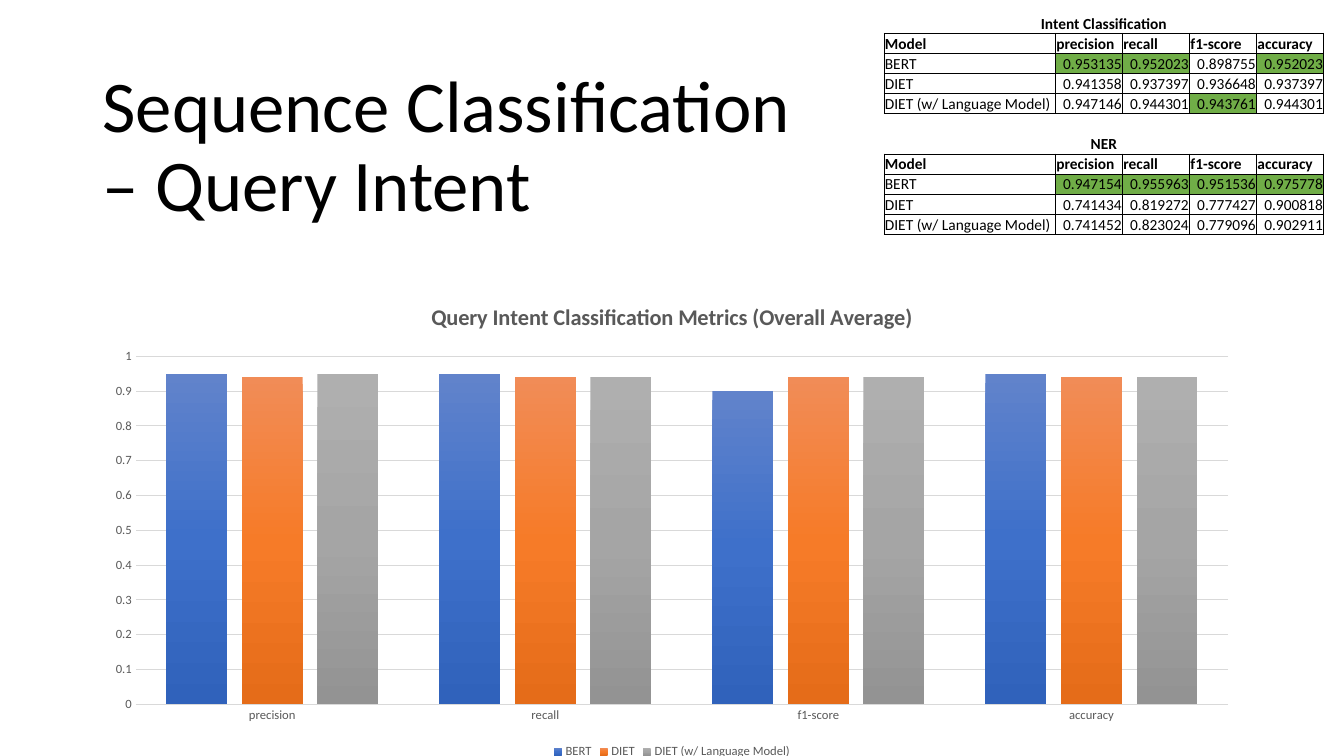
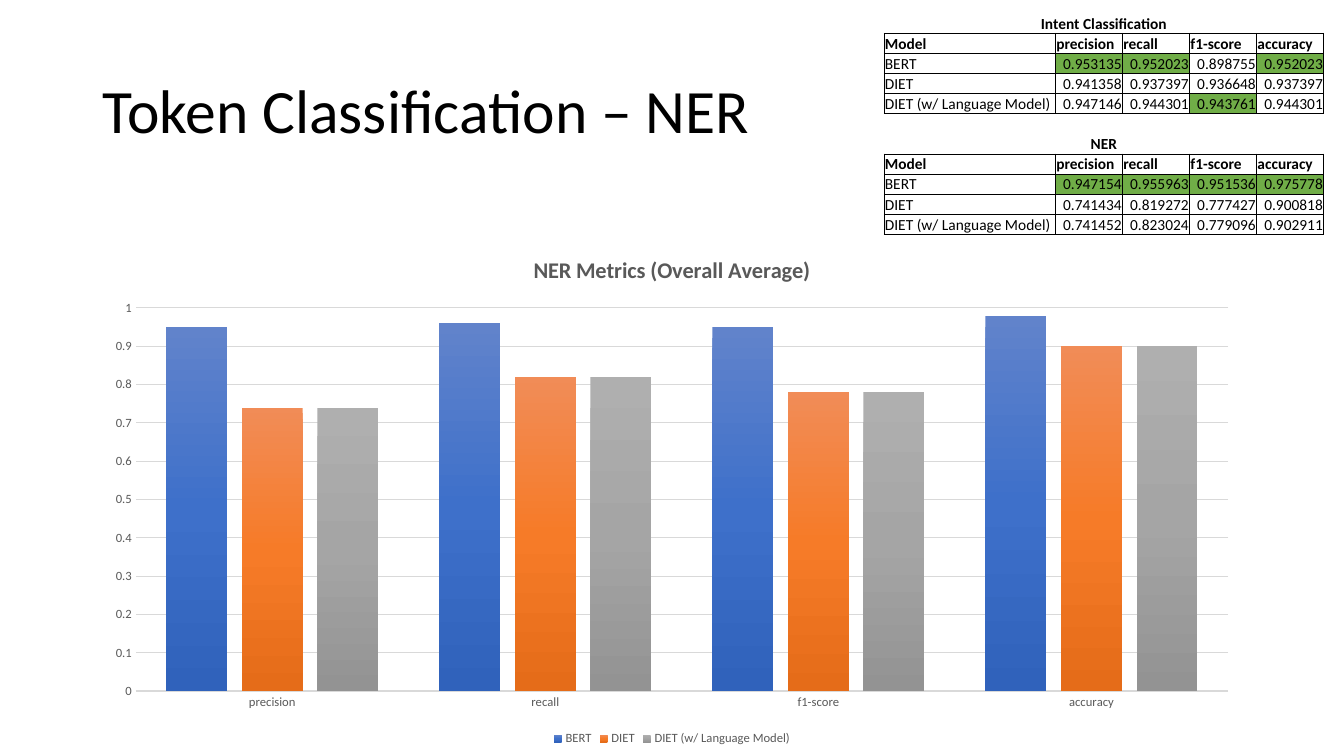
from pptx import Presentation
from pptx import util as u
from pptx.chart.data import CategoryChartData
from pptx.dml.color import RGBColor
from pptx.enum import chart as ch, text
from pptx.oxml import parse_xml
from pptx.oxml.ns import nsdecls

BLACK = RGBColor(0x00, 0x00, 0x00)
GREY = RGBColor(0x59, 0x59, 0x59)
RULE = RGBColor(0xD9, 0xD9, 0xD9)
BEST = RGBColor(0x70, 0xAD, 0x47)
BLUES = [RGBColor(0x61, 0x83, 0xCB), RGBColor(0x3E, 0x70, 0xCA), RGBColor(0x30, 0x62, 0xBB)]
ORANGES = [RGBColor(0xF1, 0x8C, 0x57), RGBColor(0xF6, 0x7B, 0x28), RGBColor(0xE5, 0x6C, 0x19)]
GREYS = [RGBColor(0xAF, 0xAF, 0xAF), RGBColor(0xA5, 0xA5, 0xA5), RGBColor(0x93, 0x93, 0x93)]
FONT = "Calibri"
PLAIN_TABLE = "{2D5ABB26-0587-4C30-8999-92F81FD0307C}"

METRICS = ["precision", "recall", "f1-score", "accuracy"]
INTENT = {
    "BERT": [0.953135, 0.952023, 0.898755, 0.952023],
    "DIET": [0.941358, 0.937397, 0.936648, 0.937397],
    "DIET (w/ Language Model)": [0.947146, 0.944301, 0.943761, 0.944301],
}
NER = {
    "BERT": [0.947154, 0.955963, 0.951536, 0.975778],
    "DIET": [0.741434, 0.819272, 0.777427, 0.900818],
    "DIET (w/ Language Model)": [0.741452, 0.823024, 0.779096, 0.902911],
}


def style_font(font, size, color=BLACK, bold=False):
    font.name, font.size, font.bold = FONT, u.Pt(size), bold
    font.color.rgb = color


def put(tf, words, size=11, color=BLACK, bold=False, align=text.PP_ALIGN.LEFT, spacing=None):
    p = tf.paragraphs[0]
    p.alignment = align
    if spacing:
        p.line_spacing = spacing
    if words:
        r = p.add_run()
        r.text = words
        style_font(r.font, size, color, bold)
    else:
        p._p.get_or_add_endParaRPr().set("sz", str(size * 100))


def gradient(colors):
    stops = "".join(f'<a:gs pos="{i * 50000}"><a:srgbClr val="{c}"/></a:gs>'
                    for i, c in enumerate(colors))
    return parse_xml(f'<a:gradFill {nsdecls("a")}><a:gsLst>{stops}</a:gsLst>'
                     '<a:lin ang="5400000" scaled="0"/></a:gradFill>')


def add_borders(cell):
    tcPr = cell._tc.get_or_add_tcPr()
    for i, side in enumerate("LRTB"):
        tcPr.insert(i, parse_xml(
            f'<a:ln{side} {nsdecls("a")} w="6350"><a:solidFill>'
            f'<a:srgbClr val="{BLACK}"/></a:solidFill></a:ln{side}>'))


def place_plot(chart, width, height, left=1.09, top=1.84, right=0.59, bottom=1.48):
    area = chart._chartSpace.chart.plotArea
    for old in area.findall("{*}layout"):
        area.remove(old)
    box = {"x": left / width, "y": top / height,
           "w": (width - left - right) / width, "h": (height - top - bottom) / height}
    modes = '<c:xMode val="edge"/><c:yMode val="edge"/>'
    sizes = "".join(f'<c:{k} val="{v:.4f}"/>' for k, v in box.items())
    area.insert(0, parse_xml(
        f'<c:layout {nsdecls("c")}><c:manualLayout><c:layoutTarget val="inner"/>'
        f'{modes}{sizes}</c:manualLayout></c:layout>'))


class Deck:
    def __init__(self):
        self.prs = Presentation()
        self.prs.slide_width, self.prs.slide_height = u.Cm(33.87), u.Cm(19.05)
        self.s = None

    def slide(self, title, left, top, width, height, size):
        self.s = self.prs.slides.add_slide(self.prs.slide_layouts[5])
        sp = self.s.shapes.title
        sp.left, sp.top, sp.width, sp.height = map(u.Cm, (left, top, width, height))
        tf = sp.text_frame
        tf.word_wrap = True
        tf.auto_size = text.MSO_AUTO_SIZE.NONE
        tf.vertical_anchor = text.MSO_ANCHOR.MIDDLE
        put(tf, title, size=size, spacing=0.9)

    def column_chart(self, title, scores, top, height, left=2.33, width=29.21):
        data = CategoryChartData(number_format="General")
        data.categories = METRICS
        for model, values in scores.items():
            data.add_series(model, [round(v, 2) for v in values])
        chart = self.s.shapes.add_chart(
            ch.XL_CHART_TYPE.COLUMN_CLUSTERED,
            *map(u.Cm, (left, top, width, height)), data).chart
        style_font(chart.font, 10)
        chart.has_title = True
        put(chart.chart_title.text_frame, title, size=16, color=GREY, bold=True,
            align=text.PP_ALIGN.CENTER)
        chart.chart_title.include_in_layout = False
        chart.has_legend = True
        chart.legend.position = ch.XL_LEGEND_POSITION.BOTTOM
        chart.legend.include_in_layout = False
        style_font(chart.legend.font, 9, GREY)

        plot = chart.plots[0]
        plot.gap_width, plot.overlap, plot.vary_by_categories = 100, -24, False
        for ser, colors in zip(plot.series, (BLUES, ORANGES, GREYS)):
            ser.invert_if_negative = False
            ser._element.get_or_add_spPr().insert(0, gradient(colors))

        for axis in (chart.category_axis, chart.value_axis):
            axis.major_tick_mark = axis.minor_tick_mark = ch.XL_TICK_MARK.NONE
            style_font(axis.tick_labels.font, 9, GREY)
        line = chart.category_axis.format.line
        line.color.rgb, line.width = RULE, u.Pt(1)
        axis = chart.value_axis
        axis.minimum_scale, axis.maximum_scale, axis.major_unit = 0, 1, 0.1
        axis.format.line.fill.background()
        grid = axis.major_gridlines.format.line
        grid.color.rgb, grid.width = RULE, u.Pt(0.75)
        place_plot(chart, width, height)

    def score_table(self, groups, left=22.28, top=0.33, height=5.58, widths=(4.32, 1.69, 1.69, 1.69, 1.69)):
        count = sum(len(scores) + 2 for scores in groups.values()) + len(groups) - 1
        table = self.s.shapes.add_table(
            count, len(widths), u.Cm(left), u.Cm(top), u.Cm(sum(widths)), u.Cm(height)).table
        table.first_row = table.horz_banding = False
        table._tbl.tblPr.find("{*}tableStyleId").text = PLAIN_TABLE
        for col, width in zip(table.columns, widths):
            col.width = u.Cm(width)
        for line in table.rows:
            line.height = u.Cm(height / count)

        blank = [""] * len(widths)
        i = 0
        for name, scores in groups.items():
            if i:
                self.table_row(table, i, blank)
                i += 1
            self.table_row(table, i, [name] + blank[1:], bold=True, align=text.PP_ALIGN.CENTER)
            table.cell(i, 0).merge(table.cell(i, len(widths) - 1))
            self.table_row(table, i + 1, ["Model"] + METRICS, bold=True, border=True)
            best = [max(column) for column in zip(*scores.values())]
            i += 2
            for model, values in scores.items():
                marked = [j for j, v in enumerate(values, 1) if v == best[j - 1]]
                self.table_row(table, i, [model] + values, border=True, marked=marked)
                i += 1

    def table_row(self, table, i, values, bold=False, align=text.PP_ALIGN.LEFT, border=False, marked=()):
        for j, value in enumerate(values):
            cell = table.cell(i, j)
            cell.margin_left = cell.margin_right = cell.margin_top = u.Cm(0.02)
            cell.margin_bottom = 0
            cell.vertical_anchor = text.MSO_ANCHOR.BOTTOM
            number = isinstance(value, float)
            put(cell.text_frame, f"{value:.6f}" if number else value, bold=bold,
                align=text.PP_ALIGN.RIGHT if number else align)
            if j in marked:
                cell.fill.solid()
                cell.fill.fore_color.rgb = BEST
            else:
                cell.fill.background()
            if border:
                add_borders(cell)


deck = Deck()
groups = {"Intent Classification": INTENT, "NER": NER}

deck.slide("Sequence Classification – Query Intent", 2.33, 1.55, 19.05, 4.37, size=52)
deck.column_chart("Query Intent Classification Metrics (Overall Average)", INTENT, top=7.14, height=12.09)
deck.score_table(groups)

deck.slide("Token Classification – NER", 2.33, 1.01, 29.21, 3.68, size=44)
deck.column_chart("NER Metrics (Overall Average)", NER, top=5.92, height=12.98)
deck.score_table(groups)

deck.prs.save("out.pptx")
